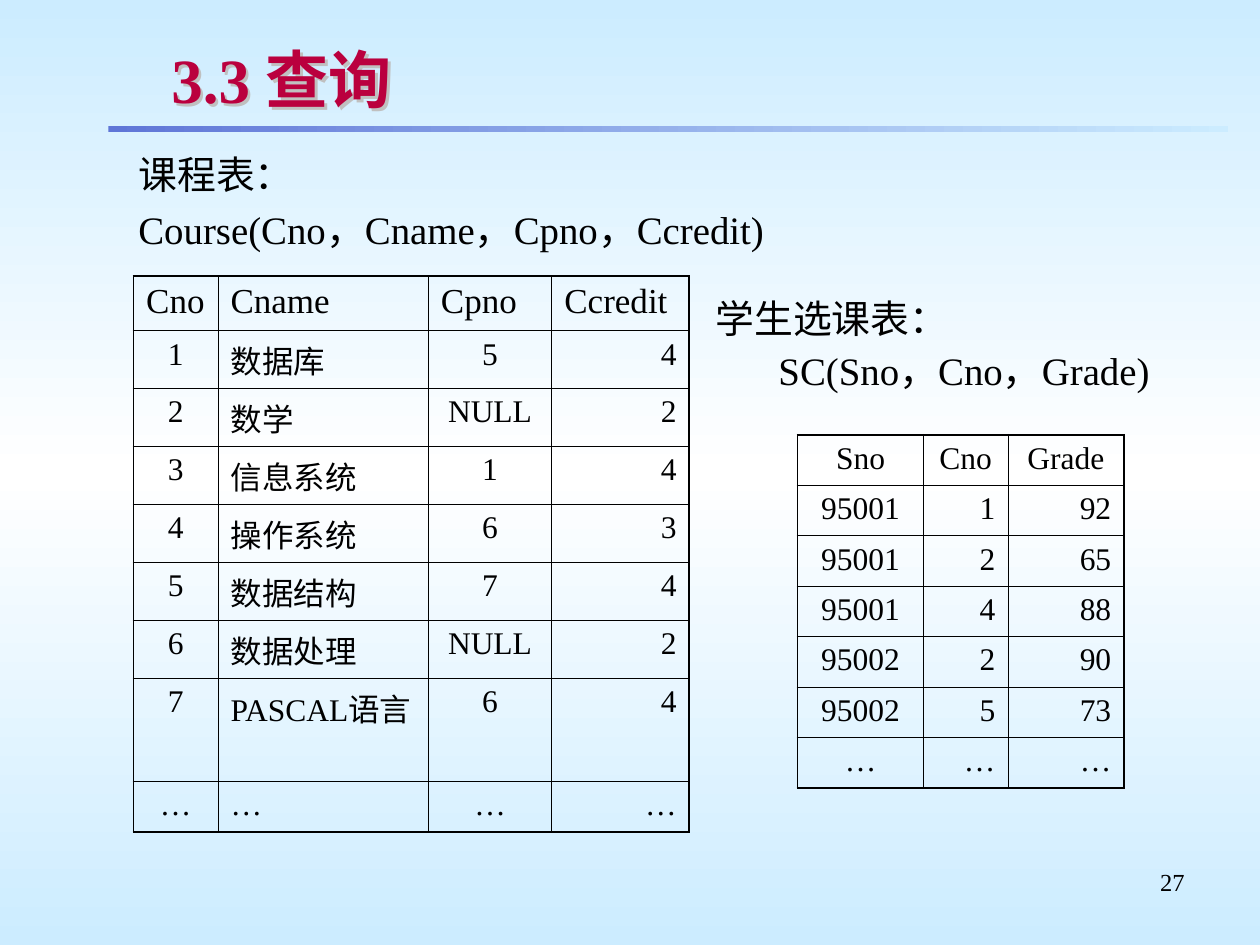
import copy
from dataclasses import dataclass

import lxml.etree
import pptx
import pptx.dml.color
import pptx.enum.shapes
import pptx.enum.text
import pptx.oxml.ns
import pptx.util

Inches = pptx.util.Inches
Pt = pptx.util.Pt
RGBColor = pptx.dml.color.RGBColor
ALIGN = pptx.enum.text.PP_ALIGN
qn = pptx.oxml.ns.qn

FONT = "Times New Roman"
BLACK = RGBColor(0x00, 0x00, 0x00)
WHITE = RGBColor(0xFF, 0xFF, 0xFF)
CRIMSON = RGBColor(0xBA, 0x00, 0x3E)
SKY = RGBColor(0xCC, 0xEC, 0xFF)
RULE_BLUE = RGBColor(0x5F, 0x76, 0xD7)
TITLE_SHADOW = RGBColor(0xC0, 0xC0, 0xC0)
THICK, THIN = Pt(1.08), Pt(0.45)


@dataclass
class Line:
    text: str
    size: float
    align: ALIGN = ALIGN.LEFT
    space_before: float = 0
    spacing: float = 1.0
    margin: float = 0
    indent: float = 0
    color: RGBColor = BLACK
    bold: bool = False


@dataclass
class Box:
    left: float
    top: float
    width: float
    height: float
    lines: list[Line]


@dataclass
class Relation:
    left: float
    top: float
    widths: list[float]
    heights: list[float]
    header_size: float
    header_aligns: list[ALIGN]
    aligns: list[ALIGN]
    rows: list[list[str]]


def write_line(paragraph, line: Line) -> None:
    paragraph.alignment = line.align
    paragraph.space_before = Pt(line.space_before)
    paragraph.line_spacing = line.spacing
    if line.margin:
        properties = paragraph._p.get_or_add_pPr()
        properties.set("marL", str(Inches(line.margin)))
        properties.set("indent", str(Inches(line.indent)))
    run = paragraph.add_run()
    run.text = line.text
    run.font.name = FONT
    run.font.size = Pt(line.size)
    run.font.bold = line.bold
    run.font.color.rgb = line.color


def draw_box(slide, box: Box) -> None:
    frame = slide.shapes.add_textbox(
        Inches(box.left), Inches(box.top), Inches(box.width), Inches(box.height)
    ).text_frame
    frame.word_wrap = True
    for number, line in enumerate(box.lines):
        write_line(frame.add_paragraph() if number else frame.paragraphs[0], line)


def add_border(cell, position: int, side: str, width: int) -> None:
    border = lxml.etree.Element(qn(f"a:ln{side}"), w=str(width))
    fill = lxml.etree.SubElement(border, qn("a:solidFill"))
    lxml.etree.SubElement(fill, qn("a:srgbClr"), val=str(BLACK))
    cell._tc.get_or_add_tcPr().insert(position, border)


def draw_relation(slide, relation: Relation) -> None:
    last_row, last_column = len(relation.rows) - 1, len(relation.widths) - 1
    table = slide.shapes.add_table(
        last_row + 1, last_column + 1, Inches(relation.left), Inches(relation.top),
        Inches(sum(relation.widths)), Inches(sum(relation.heights)),
    ).table
    table.first_row = False
    table.horz_banding = False
    for column, width in zip(table.columns, relation.widths):
        column.width = Inches(width)
    for r, values in enumerate(relation.rows):
        table.rows[r].height = Inches(relation.heights[r])
        size = 18 if r else relation.header_size
        aligns = relation.aligns if r else relation.header_aligns
        for c, value in enumerate(values):
            cell = table.cell(r, c)
            cell.fill.background()
            outer = {"L": c == 0, "R": c == last_column, "T": r == 0, "B": r == last_row}
            for position, (side, is_outer) in enumerate(outer.items()):
                add_border(cell, position, side, THICK if is_outer else THIN)
            write_line(
                cell.text_frame.paragraphs[0],
                Line(value, size, aligns[c], space_before=3.7 if size == 20 else 3.4),
            )


def draw_background(slide) -> None:
    fill = slide.background.fill
    fill.gradient()
    fill.gradient_angle = 90
    for stop in fill.gradient_stops:
        stop.color.rgb = SKY
    stops = slide.element.find(".//" + qn("a:gsLst"))
    stops.insert(1, copy.deepcopy(stops[0]))
    middle = fill.gradient_stops[1]
    middle.position = 0.5
    middle.color.rgb = WHITE


def draw_title(slide) -> None:
    title = slide.shapes.title
    title.left, title.top = Inches(1.26), Inches(0.29)
    title.width, title.height = Inches(8.24), Inches(0.67)
    frame = title.text_frame
    frame.vertical_anchor = pptx.enum.text.MSO_ANCHOR.MIDDLE
    frame.margin_top = frame.margin_bottom = Inches(0.04)
    write_line(frame.paragraphs[0], Line("3.3 查询", 36, color=CRIMSON, bold=True))
    title.fill.background()
    effects = lxml.etree.SubElement(title.element.spPr, qn("a:effectLst"))
    shadow = lxml.etree.SubElement(
        effects, qn("a:outerShdw"), dist=str(Pt(2)), dir="2700000", algn="tl"
    )
    lxml.etree.SubElement(shadow, qn("a:srgbClr"), val=str(TITLE_SHADOW))


def draw_rule(slide) -> None:
    rule = slide.shapes.add_shape(
        pptx.enum.shapes.MSO_SHAPE.RECTANGLE,
        Inches(0.86), Inches(1), Inches(8.89), Inches(0.05),
    )
    rule.shadow.inherit = False
    rule.line.fill.background()
    rule.fill.gradient()
    rule.fill.gradient_angle = 0
    for stop, color in zip(rule.fill.gradient_stops, (RULE_BLUE, SKY)):
        stop.color.rgb = color


COURSE_HEADING = Box(0.5, 1.15, 9.17, 0.93, [
    Line(text, 22.2, space_before=4.5, margin=0.81, indent=-0.31)
    for text in ("课程表：", "Course(Cno，Cname，Cpno，Ccredit)")
])

ENROLMENT_HEADING = Box(5.58, 2.33, 4.08, 0.92, [
    Line(text, 22.2, space_before=6, spacing=0.9, margin=margin, indent=indent)
    for text, margin, indent in (
        ("学生选课表：", 0.38, -0.38),
        ("SC(Sno，Cno，Grade)", 0.81, -0.31),
    )
])

PAGE_NUMBER = Box(7.17, 6.83, 2.33, 0.52, [Line("27", 14, ALIGN.RIGHT)])

COURSES = Relation(
    1.06, 2.19, [0.67, 1.67, 0.98, 1.09], [0.43] + [0.46] * 6 + [0.82, 0.4], 20,
    [ALIGN.LEFT] * 4, [ALIGN.CENTER, ALIGN.LEFT, ALIGN.CENTER, ALIGN.RIGHT],
    [
        ["Cno", "Cname", "Cpno", "Ccredit"],
        ["1", "数据库", "5", "4"],
        ["2", "数学", "NULL", "2"],
        ["3", "信息系统", "1", "4"],
        ["4", "操作系统", "6", "3"],
        ["5", "数据结构", "7", "4"],
        ["6", "数据处理", "NULL", "2"],
        ["7", "PASCAL语言", "6", "4"],
        ["…"] * 4,
    ],
)

ENROLMENTS = Relation(
    6.33, 3.45, [1, 0.67, 0.92], [0.4] * 7, 18,
    [ALIGN.CENTER] * 3, [ALIGN.CENTER, ALIGN.RIGHT, ALIGN.RIGHT],
    [
        ["Sno", "Cno", "Grade"],
        ["95001", "1", "92"],
        ["95001", "2", "65"],
        ["95001", "4", "88"],
        ["95002", "2", "90"],
        ["95002", "5", "73"],
        ["…"] * 3,
    ],
)


def main() -> None:
    deck = pptx.Presentation()
    deck.slide_width, deck.slide_height = Inches(10), Inches(7.5)
    slide = deck.slides.add_slide(deck.slide_layouts[5])
    draw_background(slide)
    draw_rule(slide)
    draw_title(slide)
    for box in (PAGE_NUMBER, COURSE_HEADING, ENROLMENT_HEADING):
        draw_box(slide, box)
    for relation in (COURSES, ENROLMENTS):
        draw_relation(slide, relation)
    deck.save("out.pptx")


if __name__ == "__main__":
    main()
